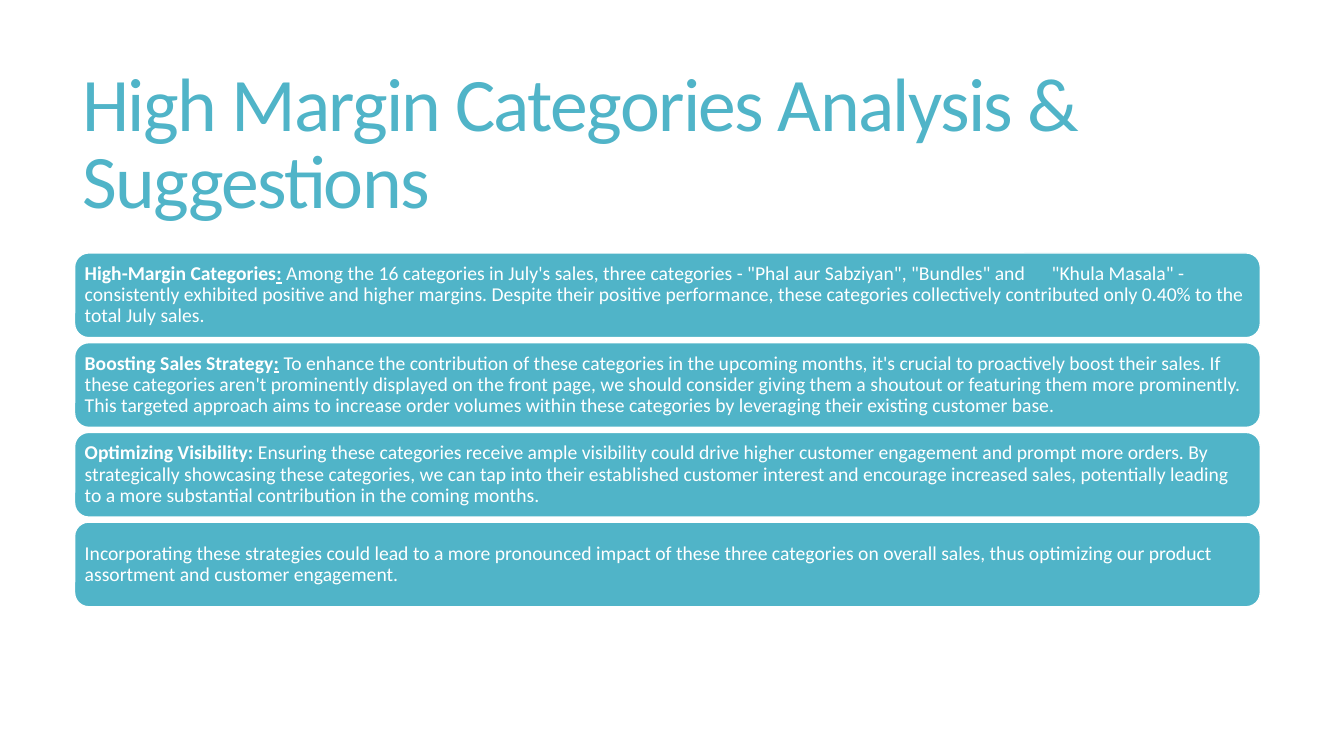
import pptx
import pptx.util
import pptx.dml.color
import pptx.enum.shapes
import pptx.enum.text
import lxml.etree
from pptx.util import Inches

COLORS = {"teal": "50B4C8", "white": "FFFFFF"}
TAB = Inches(9.59)

# Each card: bold lead, underlined mark, body
CARDS = [
    ("High-Margin Categories", ":",
     " Among the 16 categories in July's sales, three categories - \"Phal aur Sabziyan\", "
     "\"Bundles\" and\t\"Khula Masala\" - consistently exhibited positive and higher margins. "
     "Despite their positive performance, these categories collectively contributed only "
     "0.40% to the total July sales."),
    ("Boosting Sales Strategy", ":",
     " To enhance the contribution of these categories in the upcoming months, it's crucial "
     "to proactively boost their sales. If these categories aren't prominently displayed on "
     "the front page, we should consider giving them a shoutout or featuring them more "
     "prominently. This targeted approach aims to increase order volumes within these "
     "categories by leveraging their existing customer base."),
    ("Optimizing Visibility:", "",
     " Ensuring these categories receive ample visibility could drive higher customer "
     "engagement and prompt more orders. By strategically showcasing these categories, we can "
     "tap into their established customer interest and encourage increased sales, potentially "
     "leading to a more substantial contribution in the coming months."),
    ("", "",
     "Incorporating these strategies could lead to a more pronounced impact of these three "
     "categories on overall sales, thus optimizing our product assortment and customer "
     "engagement."),
]


def color(name):
    return pptx.dml.color.RGBColor.from_string(COLORS[name])


class Deck:
    font = "Calibri"

    def __init__(self):
        self.prs = pptx.Presentation()
        self.prs.slide_width = Inches(13.33)
        self.prs.slide_height = Inches(7.5)
        self.slide = self.prs.slides.add_slide(self.prs.slide_layouts[6])

    def style(self, run, size, tint, bold=False, line=False):
        run.font.name = self.font
        run.font.size = pptx.util.Pt(size)
        run.font.color.rgb = color(tint)
        run.font.bold = bold
        run.font.underline = line

    def frame(self, shape, space):
        frame = shape.text_frame
        frame.word_wrap = True
        frame.vertical_anchor = pptx.enum.text.MSO_ANCHOR.MIDDLE
        para = frame.paragraphs[0]
        para.alignment = pptx.enum.text.PP_ALIGN.LEFT
        para.line_spacing = space
        return frame

    def title(self, text, left, top, width, height):
        box = self.slide.shapes.add_textbox(
            Inches(left), Inches(top), Inches(width), Inches(height))
        para = self.frame(box, 0.85).paragraphs[0]
        para.text = text
        run = para.runs[0]
        self.style(run, 54, "teal")
        run._r.get_or_add_rPr().set("spc", "-120")

    def card(self, parts, left, top, width, height):
        card = self.slide.shapes.add_shape(
            pptx.enum.shapes.MSO_SHAPE.ROUNDED_RECTANGLE,
            Inches(left), Inches(top), Inches(width), Inches(height))
        card.shadow.inherit = False
        card.fill.solid()
        card.fill.fore_color.rgb = color("teal")
        card.line.color.rgb = color("white")
        card.line.width = pptx.util.Pt(1)
        frame = self.frame(card, 0.9)
        frame.margin_left = frame.margin_right = Inches(0.06)
        frame.margin_top = frame.margin_bottom = Inches(0.06)
        para = frame.paragraphs[0]
        lead, mark, body = parts
        for text, bold, line in ((lead, True, False), (mark, True, True), (body, False, False)):
            if text:
                run = para.add_run()
                run.text = text
                self.style(run, 14, "white", bold, line)
        if "\t" in body:
            self.tab(para)

    def tab(self, para):
        name = pptx.oxml.ns.qn
        stops = lxml.etree.SubElement(para._p.get_or_add_pPr(), name("a:tabLst"))
        lxml.etree.SubElement(stops, name("a:tab"), pos=str(int(TAB)), algn="l")


def main():
    deck = Deck()

    # Heading
    deck.title("High Margin Categories Analysis & Suggestions", 0.72, 0.55, 11.78, 1.81)

    # Stack of cards
    top, height, gap = 2.51, 0.84, 0.05
    for row, parts in enumerate(CARDS):
        deck.card(parts, 0.74, top + row * (height + gap), 11.76, height)

    deck.prs.save("out.pptx")


if __name__ == "__main__":
    main()
